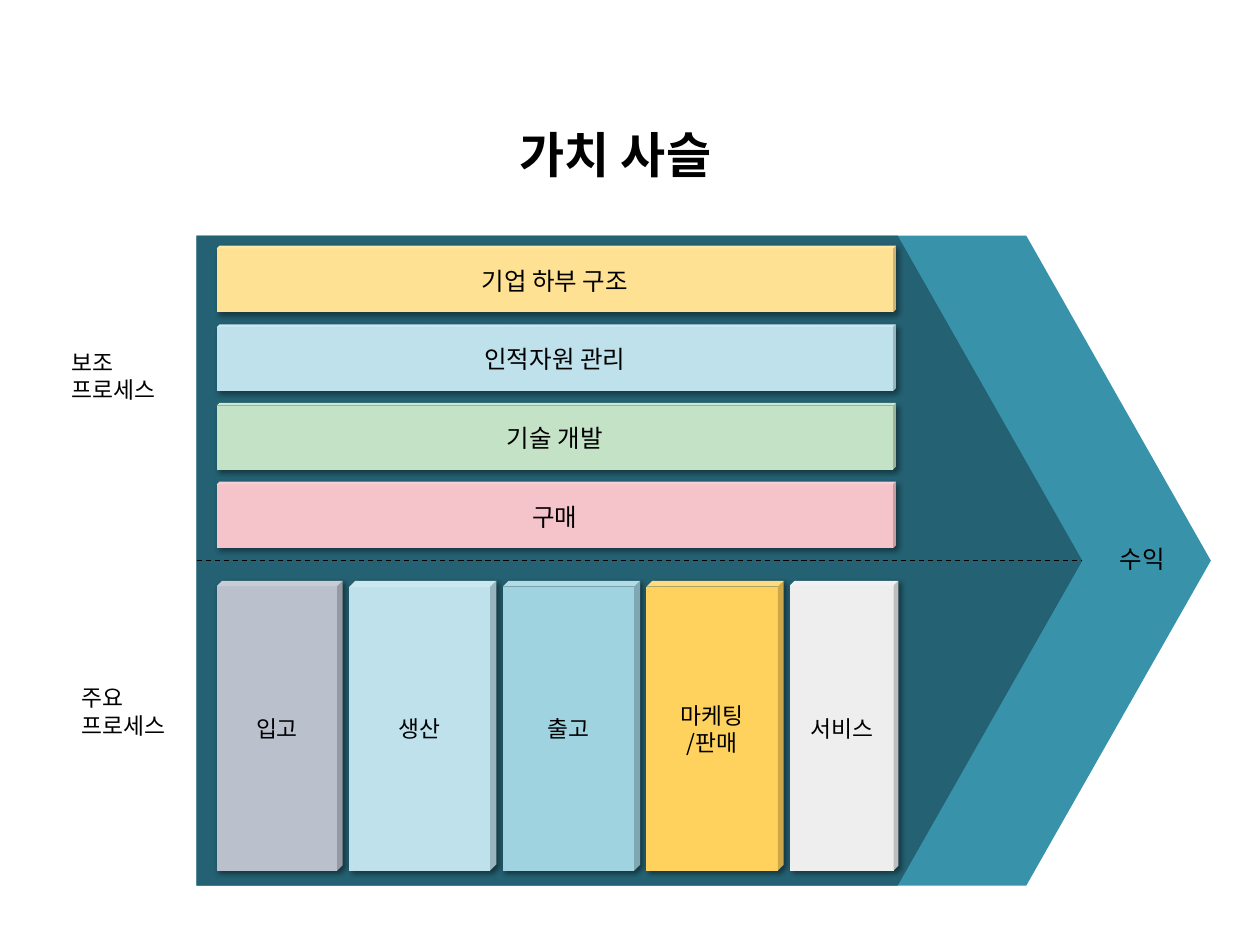
from lxml.etree import SubElement
from pptx import Presentation
from pptx.dml.color import RGBColor
from pptx.enum.dml import MSO_LINE
from pptx.enum.shapes import MSO_CONNECTOR, MSO_SHAPE
from pptx.enum.text import MSO_ANCHOR, MSO_AUTO_SIZE, PP_ALIGN
from pptx.oxml.ns import qn
from pptx.util import Inches, Pt

BLACK = RGBColor(0x00, 0x00, 0x00)
TEAL = RGBColor(0x37, 0x92, 0xAA)
DARK_TEAL = RGBColor(0x24, 0x61, 0x72)
GREY_BLUE = RGBColor(0xBA, 0xC0, 0xCC)
PALE_BLUE = RGBColor(0xBF, 0xE1, 0xEB)
AQUA = RGBColor(0xA0, 0xD3, 0xE0)
GOLD = RGBColor(0xFF, 0xD2, 0x5D)
PALE_GREY = RGBColor(0xEE, 0xEE, 0xEF)
CREAM = RGBColor(0xFF, 0xE1, 0x93)
GREEN = RGBColor(0xC4, 0xE2, 0xC5)
PINK = RGBColor(0xF5, 0xC4, 0xCB)
ROBOTO, NOTO = "Roboto", "Noto Sans CJK KR"

# Content: text, left, top, width, height, size, bold, alignment
# (\n starts a paragraph, \v breaks a line)
LABELS = [
    ("가치 사슬", 2.27, 0.94, 5.23, 0.57, 28, True, PP_ALIGN.CENTER),
    ("수익", 7.97, 4.27, 2.19, 0.34, 14, False, PP_ALIGN.CENTER),
    ("주요\v프로세스", 0.55, 5.38, 1.48, 0.54, 13, False, PP_ALIGN.LEFT),
    ("보조\n프로세스", 0.47, 2.72, 1.48, 0.76, 13, False, PP_ALIGN.LEFT),
]
SUPPORT = [("기업 하부 구조", CREAM), ("인적자원 관리", PALE_BLUE),
           ("기술 개발", GREEN), ("구매", PINK)]
PRIMARY = [  # text, width, fill, font
    ("입고", 1.0, GREY_BLUE, ROBOTO),
    ("생산", 1.17, PALE_BLUE, ROBOTO),
    ("출고", 1.09, AQUA, ROBOTO),
    ("마케팅\n/판매", 1.09, GOLD, NOTO),
    ("서비스", 0.86, PALE_GREY, NOTO),
]

# Layout
ARROW_LEFT, ARROW_TOP, ARROW_HEIGHT = 1.56, 1.87, 5.16
ARROWS = [(8.05, TEAL), (7.03, DARK_TEAL)]
DIVIDER_Y = ARROW_TOP + ARROW_HEIGHT / 2
BLOCK_LEFT = 1.72
SUPPORT_TOP, SUPPORT_STEP, SUPPORT_WIDTH, SUPPORT_HEIGHT = 1.95, 0.624, 5.39, 0.53
PRIMARY_TOP, PRIMARY_HEIGHT, PRIMARY_GAP = 4.61, 2.3, 0.05

prs = Presentation()
prs.slide_width, prs.slide_height = Inches(10), Inches(7.5)
slide = prs.slides.add_slide(prs.slide_layouts[6])
shapes = slide.shapes


def write(frame, text, size, font=ROBOTO, bold=False, align=PP_ALIGN.CENTER):
    frame.word_wrap = True
    for i, paragraph_text in enumerate(text.split("\n")):
        paragraph = frame.paragraphs[0] if i == 0 else frame.add_paragraph()
        paragraph.alignment = align
        for j, line in enumerate(paragraph_text.split("\v")):
            if j:
                paragraph.add_line_break()
            run = paragraph.add_run()
            run.text = line
            run.font.name, run.font.size, run.font.bold = font, Pt(size), bold
            run.font.color.rgb = BLACK


def add_filled(preset, left, top, width, height, adjustment, fill):
    shape = shapes.add_shape(preset, Inches(left), Inches(top), Inches(width), Inches(height))
    shape.adjustments[0] = adjustment
    shape.fill.solid()
    shape.fill.fore_color.rgb = fill
    shape.line.fill.background()
    shape.shadow.inherit = False
    return shape


def add_block(text, left, top, width, height, fill, size, font, opacity):
    block = add_filled(MSO_SHAPE.CUBE, left, top, width, height, 0.043, fill)
    effects = block._element.spPr.find(qn("a:effectLst"))
    shadow = SubElement(effects, qn("a:outerShdw"), blurRad=str(Pt(3)), dist=str(Pt(2)),
                        dir=str(45 * 60000), algn="tl", rotWithShape="0")
    color = SubElement(shadow, qn("a:srgbClr"), val=str(BLACK))
    SubElement(color, qn("a:alpha"), val=str(opacity * 1000))
    block.text_frame.vertical_anchor = MSO_ANCHOR.MIDDLE
    write(block.text_frame, text, size, font)


# Nested arrows
for width, fill in ARROWS:
    add_filled(MSO_SHAPE.PENTAGON, ARROW_LEFT, ARROW_TOP, width, ARROW_HEIGHT, 0.284, fill)

# Dashed divider up to the inner arrow's tip
divider = shapes.add_connector(
    MSO_CONNECTOR.STRAIGHT, Inches(ARROW_LEFT), Inches(DIVIDER_Y),
    Inches(ARROW_LEFT + ARROWS[1][0]), Inches(DIVIDER_Y))
divider.line.color.rgb = BLACK
divider.line.width = Pt(0.75)
divider.line.dash_style = MSO_LINE.DASH
SubElement(divider._element.spPr, qn("a:effectLst"))

# Primary processes, side by side
left = BLOCK_LEFT
for text, width, fill, font in PRIMARY:
    add_block(text, left, PRIMARY_TOP, width, PRIMARY_HEIGHT, fill, 13, font, 43)
    left += width + PRIMARY_GAP

# Support processes, stacked
for row, (text, fill) in enumerate(SUPPORT):
    add_block(text, BLOCK_LEFT, SUPPORT_TOP + row * SUPPORT_STEP,
              SUPPORT_WIDTH, SUPPORT_HEIGHT, fill, 14, ROBOTO, 40)

# Title and labels
for text, left, top, width, height, size, bold, align in LABELS:
    label = shapes.add_textbox(Inches(left), Inches(top), Inches(width), Inches(height))
    write(label.text_frame, text, size, bold=bold, align=align)
    label.text_frame.auto_size = MSO_AUTO_SIZE.SHAPE_TO_FIT_TEXT

prs.save("out.pptx")
